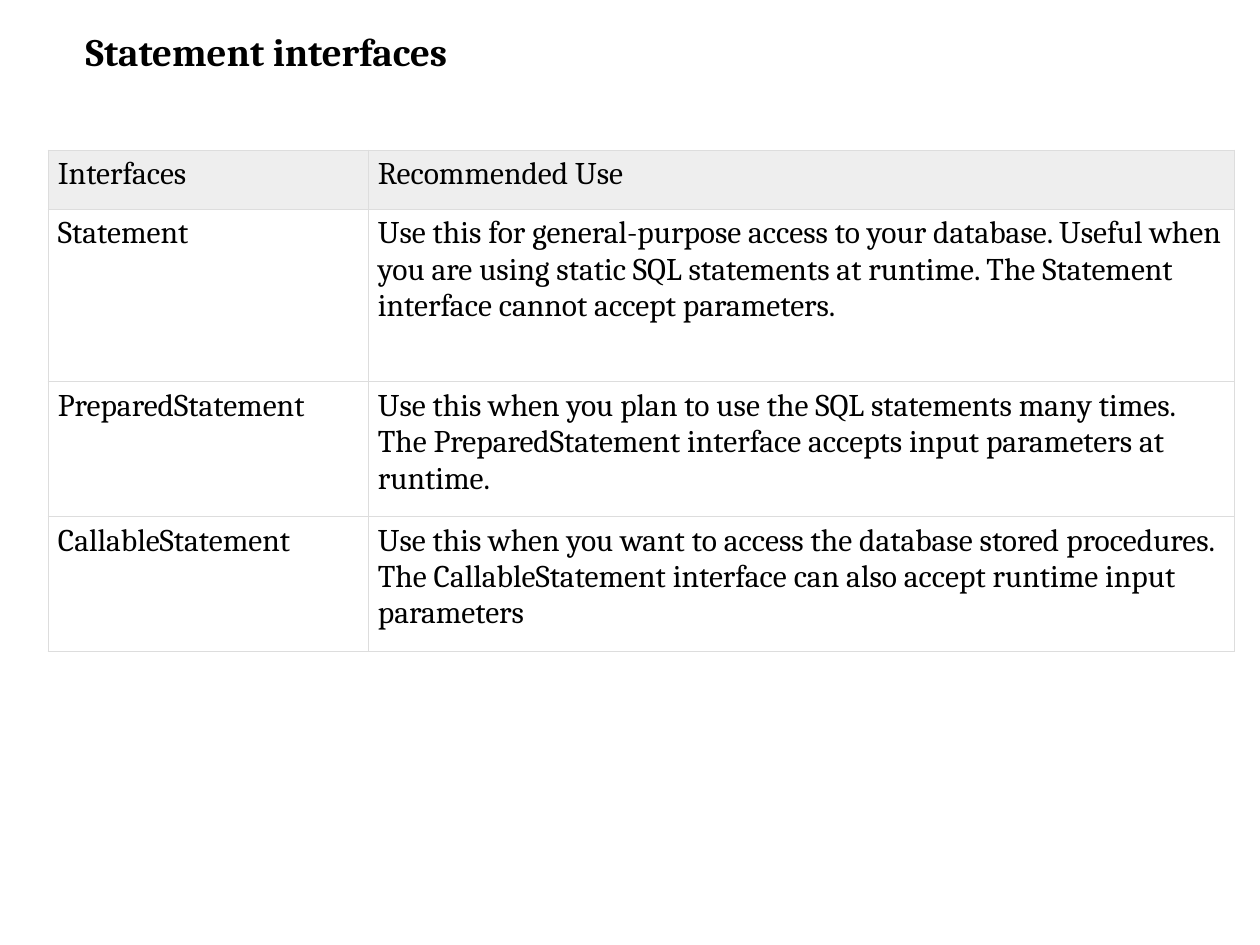
"""Build a slide with a table of the statement interfaces and their uses."""
from lxml.etree import SubElement
from pptx import Presentation
from pptx.dml.color import RGBColor
from pptx.enum.text import MSO_ANCHOR, MSO_AUTO_SIZE, PP_ALIGN
from pptx.oxml.ns import qn
from pptx.util import Inches, Pt

TITLE = "Statement interfaces"
ROWS = [
    ("Interfaces", "Recommended Use"),
    ("Statement",
     "Use this for general-purpose access to your database. Useful when you are using "
     "static SQL statements at runtime. The Statement interface cannot accept parameters."),
    ("PreparedStatement",
     "Use this when you plan to use the SQL statements many times. "
     "The PreparedStatement interface accepts input parameters at runtime."),
    ("CallableStatement",
     "Use this when you want to access the database stored procedures. "
     "The CallableStatement interface can also accept runtime input parameters"),
]
COLUMN_WIDTHS = [2.54, 6.88]
ROW_HEIGHTS = [0.47, 1.37, 1.07, 1.07]
FONT = "Cambria"
BLACK = RGBColor(0x00, 0x00, 0x00)
WHITE = RGBColor(0xFF, 0xFF, 0xFF)
HEADER_GREY = RGBColor(0xEE, 0xEE, 0xEE)
BORDER_GREY = RGBColor(0xDD, 0xDD, 0xDD)
BORDER_WIDTH = Pt(0.34)


def write(frame, text, size, bold=False):
    paragraph = frame.paragraphs[0]
    paragraph.alignment = PP_ALIGN.LEFT
    run = paragraph.add_run()
    run.text = text
    run.font.name, run.font.size, run.font.bold = FONT, Pt(size), bold
    run.font.color.rgb = BLACK


def add_borders(cell):
    properties = cell._tc.get_or_add_tcPr()
    for position, side in enumerate(("a:lnL", "a:lnR", "a:lnT", "a:lnB")):
        line = SubElement(properties, qn(side), w=str(BORDER_WIDTH))
        fill = SubElement(line, qn("a:solidFill"))
        SubElement(fill, qn("a:srgbClr"), val=str(BORDER_GREY))
        properties.insert(position, line)


def add_title(slide):
    title = slide.shapes.title
    title.left, title.top = Inches(0.58), Inches(0.17)
    title.width, title.height = Inches(9.16), Inches(0.47)
    frame = title.text_frame
    frame.word_wrap = True
    frame.auto_size = MSO_AUTO_SIZE.NONE
    frame.vertical_anchor = MSO_ANCHOR.TOP
    write(frame, TITLE, 22.2, bold=True)


def add_interface_table(slide):
    table = slide.shapes.add_table(
        len(ROWS), len(COLUMN_WIDTHS), Inches(0.38), Inches(1.19),
        Inches(sum(COLUMN_WIDTHS)), Inches(sum(ROW_HEIGHTS))).table
    table.horz_banding = False
    for column, width in zip(table.columns, COLUMN_WIDTHS):
        column.width = Inches(width)
    for index, (row, height, texts) in enumerate(zip(table.rows, ROW_HEIGHTS, ROWS)):
        row.height = Inches(height)
        for cell, text in zip(row.cells, texts):
            cell.margin_left = cell.margin_right = Inches(0.08)
            cell.margin_top = cell.margin_bottom = Inches(0.05)
            cell.vertical_anchor = MSO_ANCHOR.TOP
            cell.fill.solid()
            cell.fill.fore_color.rgb = WHITE if index else HEADER_GREY
            add_borders(cell)
            write(cell.text_frame, text, 18)


def main():
    deck = Presentation()
    deck.slide_width, deck.slide_height = Inches(10), Inches(7.5)
    slide = deck.slides.add_slide(deck.slide_layouts.get_by_name("Title Only"))
    add_title(slide)
    add_interface_table(slide)
    deck.save("out.pptx")


if __name__ == "__main__":
    main()
